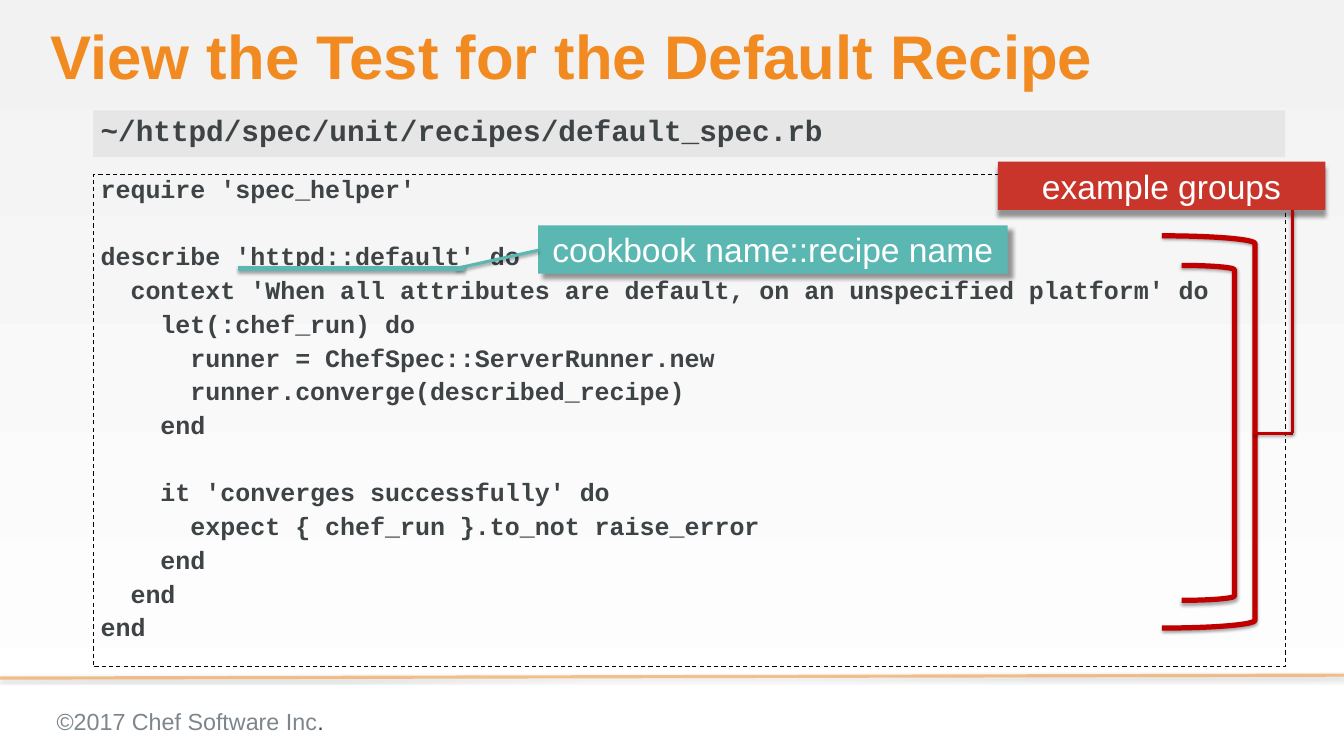
import pptx
import pptx.util
import pptx.dml.color
import pptx.enum.dml
import pptx.enum.shapes
import pptx.enum.text
import pptx.oxml
import pptx.oxml.ns
from dataclasses import dataclass
from lxml import etree

Pt = pptx.util.Pt
qn = pptx.oxml.ns.qn
Align = pptx.enum.text.PP_ALIGN
Anchor = pptx.enum.text.MSO_ANCHOR
Shape = pptx.enum.shapes.MSO_SHAPE

CODE = """require 'spec_helper'

describe 'httpd::default' do
  context 'When all attributes are default, on an unspecified platform' do
    let(:chef_run) do
      runner = ChefSpec::ServerRunner.new
      runner.converge(described_recipe)
    end

    it 'converges successfully' do
      expect { chef_run }.to_not raise_error
    end
  end
end"""


@dataclass(frozen=True)
class Theme:
    sans: str = "Arial"
    mono: str = "Courier New"
    orange: str = "F18B21"
    ink: str = "3E4346"
    gray: str = "7D868C"
    bar: str = "D9D9D9"
    red: str = "C9352B"
    dark_red: str = "C00000"
    teal: str = "5AB7B2"
    white: str = "FFFFFF"
    black: str = "000000"
    back: str = "F2F2F2"
    title_size: float = 58.7
    file_size: float = 28
    code_size: float = 23.8
    label_size: float = 32
    footer_size: float = 22.2
    code_gap: float = 8
    blank_line: float = 31
    thin: float = 3
    thick: float = 5


class SlideBuilder:
    COLUMNS, ROWS = 64, 36

    def __init__(self, presentation, theme):
        self.theme = theme
        self.column = presentation.slide_width / self.COLUMNS
        self.row = presentation.slide_height / self.ROWS
        self.slide = presentation.slides.add_slide(presentation.slide_layouts[3])
        fill = self.slide.background.fill
        fill.gradient()
        fill.gradient_angle = 270
        for stop, color in zip(fill.gradient_stops, (theme.back, theme.white)):
            stop.color.rgb = self.rgb(color)

    def rgb(self, color):
        return pptx.dml.color.RGBColor.from_string(color)

    def box(self, left, top, width, height):
        return (round(left * self.column), round(top * self.row),
                round(width * self.column), round(height * self.row))

    def font(self, target, name, size, color, bold=False):
        target.font.name = name
        target.font.size = Pt(size)
        target.font.bold = bold
        target.font.color.rgb = self.rgb(color)

    def frame(self, shape, margins, anchor):
        frame = shape.text_frame
        frame.word_wrap = True
        frame.auto_size = pptx.enum.text.MSO_AUTO_SIZE.NONE
        frame.vertical_anchor = anchor
        (frame.margin_left, frame.margin_top,
         frame.margin_right, frame.margin_bottom) = map(pptx.util.Inches, margins)
        return frame

    def transparency(self, fill_element, percent):
        color = fill_element.find(".//" + qn("a:srgbClr"))
        etree.SubElement(color, qn("a:alpha"), val=str(percent * 1000))

    def shadow(self, shape, alpha=35, blur=3.1, distance=1.8, angle=90):
        properties = shape._element.spPr
        effects = properties.find(qn("a:effectLst"))
        if effects is None:
            effects = etree.SubElement(properties, qn("a:effectLst"))
        outer = etree.SubElement(
            effects, qn("a:outerShdw"), blurRad=str(Pt(blur)), dist=str(Pt(distance)),
            dir=str(angle * 60000), algn="ctr", rotWithShape="0")
        etree.SubElement(outer, qn("a:srgbClr"), val=self.theme.black)
        self.transparency(outer, alpha)

    def placeholder(self, index, area, margins, anchor):
        shape = self.slide.placeholders[index]
        shape.left, shape.top, shape.width, shape.height = self.box(*area)
        return shape, self.frame(shape, margins, anchor)

    def plain(self, paragraph, text, spacing, before=0):
        properties = paragraph._p.get_or_add_pPr()
        properties.set("marL", "0")
        properties.set("indent", "0")
        etree.SubElement(properties, qn("a:buNone"))
        paragraph.text = text
        paragraph.alignment = Align.LEFT
        paragraph.line_spacing = spacing
        paragraph.space_before = Pt(before)

    def title(self, text, *area):
        shape, frame = self.placeholder(0, area, (0, 0, 0, 0), Anchor.MIDDLE)
        paragraph = frame.paragraphs[0]
        self.plain(paragraph, text, 0.9)
        self.font(paragraph, self.theme.sans, self.theme.title_size, self.theme.orange, True)

    def code(self, source, *area):
        theme = self.theme
        shape, frame = self.placeholder(1, area, (0.1, 0.05, 0.1, 0.05), Anchor.TOP)
        shape.line.color.rgb = self.rgb(theme.black)
        shape.line.width = Pt(1)
        shape.line.dash_style = pptx.enum.dml.MSO_LINE.DASH
        before = 0
        paragraph = frame.paragraphs[0]
        for line in source.splitlines():
            if not line:
                before += theme.blank_line
                continue
            if before:
                paragraph = frame.add_paragraph()
            self.plain(paragraph, line, 0.85, before)
            self.font(paragraph, theme.mono, theme.code_size, theme.ink, True)
            before = theme.code_gap

    def file_bar(self, text, *area):
        shape, frame = self.placeholder(2, area, (0.1, 0, 0, 0.1), Anchor.MIDDLE)
        shape.fill.solid()
        shape.fill.fore_color.rgb = self.rgb(self.theme.bar)
        self.transparency(shape._element.spPr, 50)
        paragraph = frame.paragraphs[0]
        self.plain(paragraph, text, 1.0)
        self.font(paragraph, self.theme.mono, self.theme.file_size, self.theme.ink, True)

    def label(self, text, color, angle, *area):
        shape = self.slide.shapes.add_shape(Shape.RECTANGLE, *self.box(*area))
        shape.fill.solid()
        shape.fill.fore_color.rgb = self.rgb(color)
        shape.line.fill.background()
        shape.shadow.inherit = False
        self.shadow(shape, 40, 4, 6, angle)
        paragraph = self.frame(shape, (0, 0, 0, 0), Anchor.MIDDLE).paragraphs[0]
        paragraph.text = text
        paragraph.alignment = Align.CENTER
        self.font(paragraph, self.theme.sans, self.theme.label_size, self.theme.white)

    def bracket(self, *area):
        shape = self.slide.shapes.add_shape(Shape.RIGHT_BRACKET, *self.box(*area))
        shape.fill.background()
        shape.line.color.rgb = self.rgb(self.theme.dark_red)
        shape.line.width = Pt(self.theme.thick)
        shape.shadow.inherit = False
        self.shadow(shape)

    def line(self, color, width, *ends, opacity=None):
        connector = self.slide.shapes.add_connector(
            pptx.enum.shapes.MSO_CONNECTOR.STRAIGHT, *self.box(*ends))
        connector.line.color.rgb = self.rgb(color)
        connector.line.width = Pt(width)
        if opacity:
            self.transparency(connector._element.spPr, opacity)
        self.shadow(connector)

    def footer(self, parts, *area):
        shape = self.slide.shapes.add_textbox(*self.box(*area))
        paragraph = self.frame(shape, (0.1, 0.1, 0.1, 0.1), Anchor.TOP).paragraphs[0]
        for text, color in parts:
            run = paragraph.add_run()
            run.text = text
            self.font(run, self.theme.sans, self.theme.footer_size, color)


def main():
    presentation = pptx.Presentation()
    presentation.slide_width = pptx.util.Inches(17.78)
    presentation.slide_height = pptx.util.Inches(10)
    theme = Theme()
    builder = SlideBuilder(presentation, theme)
    builder.line(theme.orange, theme.thin, 64, 32.15, 0, 32.29, opacity=50)
    builder.footer([("©2017 Chef Software Inc", theme.gray), (".", theme.ink)],
                   2.34, 33.3, 21.24, 1.87)
    builder.title("View the Test for the Default Recipe", 2.41, 1.19, 58.78, 3.28)
    builder.code(CODE, 4.43, 8.32, 56.77, 23.44)
    builder.file_bar("~/httpd/spec/unit/recipes/default_spec.rb", 4.43, 5.26, 56.77, 2.23)
    builder.label("example groups", theme.red, 90, 47.52, 7.7, 15.59, 2.3)
    builder.bracket(55.33, 11.23, 4.43, 18.68)
    builder.line(theme.dark_red, theme.thin, 59.72, 20.63, 61.56, 20.63)
    builder.bracket(56.27, 12.64, 2.52, 15.95)
    builder.line(theme.dark_red, theme.thin, 61.56, 10, 61.56, 20.63)
    builder.label("cookbook name::recipe name", theme.teal, 45, 25.63, 10.73, 22.36, 2.3)
    builder.line(theme.teal, theme.thin, 21.74, 12.78, 25.63, 11.92)
    builder.line(theme.teal, theme.thick, 11.34, 12.78, 22.14, 12.78)
    presentation.save("out.pptx")


if __name__ == "__main__":
    main()
